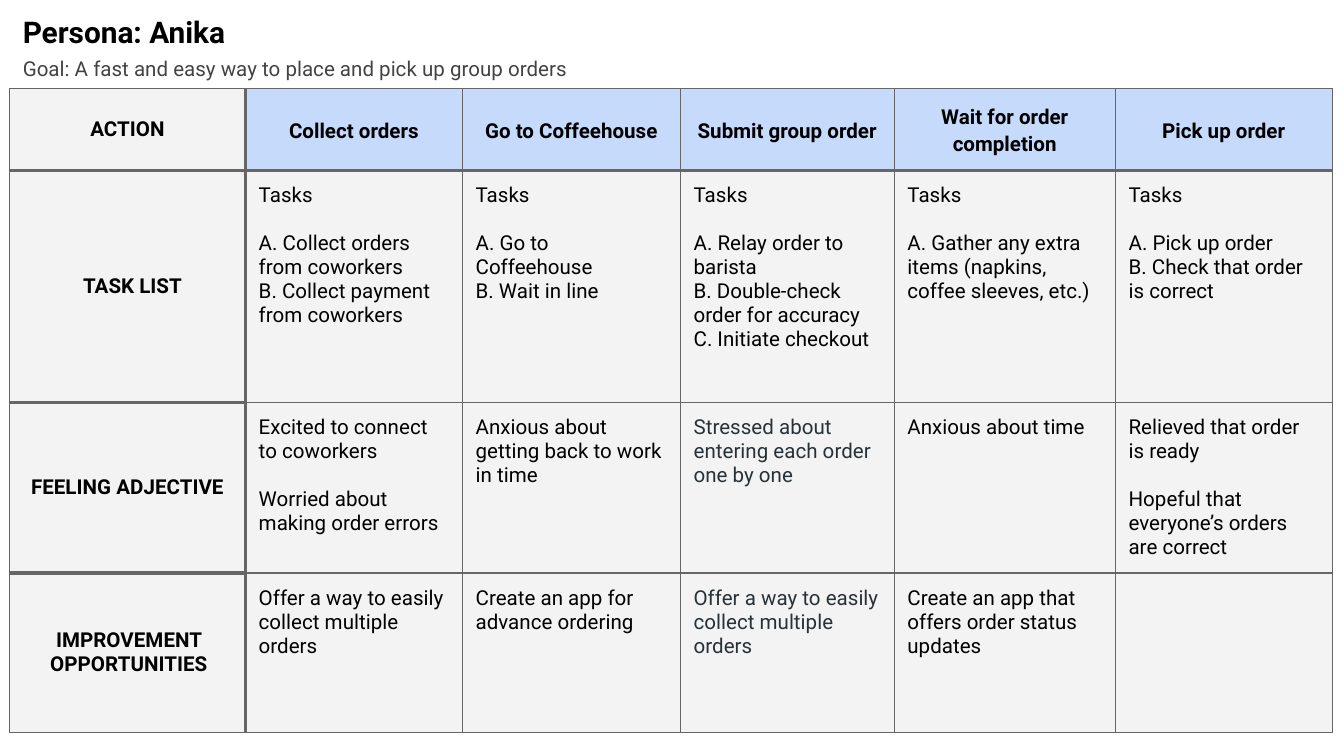
from lxml.etree import SubElement
from pptx import Presentation
from pptx.dml.color import RGBColor
from pptx.enum.text import MSO_ANCHOR, MSO_AUTO_SIZE, PP_ALIGN
from pptx.oxml.ns import qn
from pptx.util import Cm, Pt

TITLE = "Persona: Anika"
GOAL = "Goal: A fast and easy way to place and pick up group orders"
ROWS = [
    [["ACTION"], ["Collect orders"], ["Go to Coffeehouse"],
     ["Submit group order"], ["Wait for order completion"], ["Pick up order"]],
    [["TASK LIST"],
     ["Tasks", "A. Collect orders from coworkers", "B. Collect payment from coworkers"],
     ["Tasks", "A. Go to Coffeehouse", "B. Wait in line"],
     ["Tasks", "A. Relay order to barista", "B. Double-check order for accuracy",
      "C. Initiate checkout"],
     ["Tasks", "A. Gather any extra items (napkins, coffee sleeves, etc.)"],
     ["Tasks", "A. Pick up order", "B. Check that order is correct"]],
    [["FEELING ADJECTIVE"],
     ["Excited to connect to coworkers", "Worried about making order errors"],
     ["Anxious about getting back to work in time"],
     ["Stressed about entering each order one by one"],
     ["Anxious about time"],
     ["Relieved that order is ready", "Hopeful that everyone’s orders are correct"]],
    [["IMPROVEMENT OPPORTUNITIES"],
     ["Offer a way to easily collect multiple orders"],
     ["Create an app for advance ordering"],
     ["Offer a way to easily collect multiple orders"],
     ["Create an app that offers order status updates"],
     []],
]
WIDE = [4.46, 4.1, 4.12, 4.04, 4.18, 4.1]
HIGH = [1.55, 4.39, 2.97, 3.02]
INSET = {"TASK LIST": 0.44, "IMPROVEMENT OPPORTUNITIES": 0.3}
PAD = 0.25
LEFT = 0.18
HUE = {"ink": "000000", "goal": "434343", "slate": "263238",
       "line": "666666", "head": "C6DAFC", "cell": "F3F3F3"}


def style(para, hue, size=11, bold=False):
    font = para.font
    font.name, font.size, font.bold = "Roboto", Pt(size), bold
    font.color.rgb = RGBColor.from_string(HUE[hue])


def pad(box, left=PAD):
    box.margin_left = Cm(left)
    box.margin_right = box.margin_top = box.margin_bottom = Cm(PAD)


def place(shape, text, top, width, height, hue, size, bold=False):
    shape.left, shape.top = Cm(LEFT), Cm(top)
    shape.width, shape.height = Cm(width), Cm(height)
    frame = shape.text_frame
    frame.text = text
    frame.word_wrap = True
    frame.auto_size = MSO_AUTO_SIZE.NONE
    frame.vertical_anchor = MSO_ANCHOR.TOP
    pad(frame)
    para = frame.paragraphs[0]
    para.alignment = PP_ALIGN.LEFT
    para.space_before = Pt(0)
    style(para, hue, size, bold)
    return para


def edge(cell, side, thick):
    props = cell._tc.get_or_add_tcPr()
    line = SubElement(props, qn("a:ln" + side), w=str(Pt(2.25 if thick else 0.75)))
    fill = SubElement(line, qn("a:solidFill"))
    SubElement(fill, qn("a:srgbClr"), val=HUE["line"])


def rule(row, col):
    return row == 1 or (col == 0 and row in (2, 3))


def fill_cell(cell, row, col, lines):
    edge(cell, "L", col == 1)
    edge(cell, "R", col == 0)
    edge(cell, "T", rule(row, col))
    edge(cell, "B", rule(row + 1, col))
    label = row == 0 or col == 0
    cell.fill.solid()
    cell.fill.fore_color.rgb = RGBColor.from_string(
        HUE["head" if row == 0 and col else "cell"])
    cell.vertical_anchor = MSO_ANCHOR.MIDDLE if label else MSO_ANCHOR.TOP
    pad(cell, INSET.get(lines[0], PAD) if lines else PAD)
    cell.text = "\n".join(lines)
    for num, para in enumerate(cell.text_frame.paragraphs):
        style(para, "slate" if col == 3 and row > 1 else "ink", bold=label)
        para.alignment = PP_ALIGN.CENTER if label else PP_ALIGN.LEFT
        if row == 0 and col:
            para.line_spacing = 1.15
        if num == 1:
            para.space_before = Pt(12.9)


def main():
    deck = Presentation()
    deck.slide_width, deck.slide_height = Cm(25.4), Cm(14.29)
    slide = deck.slides.add_slide(deck.slide_layouts[1])
    place(slide.shapes.title, TITLE, 0, 4.95, 1.12, "ink", 16, True)
    goal = place(slide.placeholders[1], GOAL, 0.81, 23.57, 0.76, "goal", 11)
    goal.space_after = Pt(3)
    props = goal._p.get_or_add_pPr()
    props.set("marL", "0")
    props.set("indent", "0")
    props.insert_element_before(
        props.makeelement(qn("a:buNone")), "a:tabLst", "a:defRPr", "a:extLst")

    table = slide.shapes.add_table(
        len(HIGH), len(WIDE), Cm(LEFT), Cm(1.67), Cm(sum(WIDE)), Cm(sum(HIGH))).table
    table.first_row = table.horz_banding = False
    for col, width in enumerate(WIDE):
        table.columns[col].width = Cm(width)
    for row, height in enumerate(HIGH):
        table.rows[row].height = Cm(height)
        for col, lines in enumerate(ROWS[row]):
            fill_cell(table.cell(row, col), row, col, lines)
    deck.save("out.pptx")


if __name__ == "__main__":
    main()
